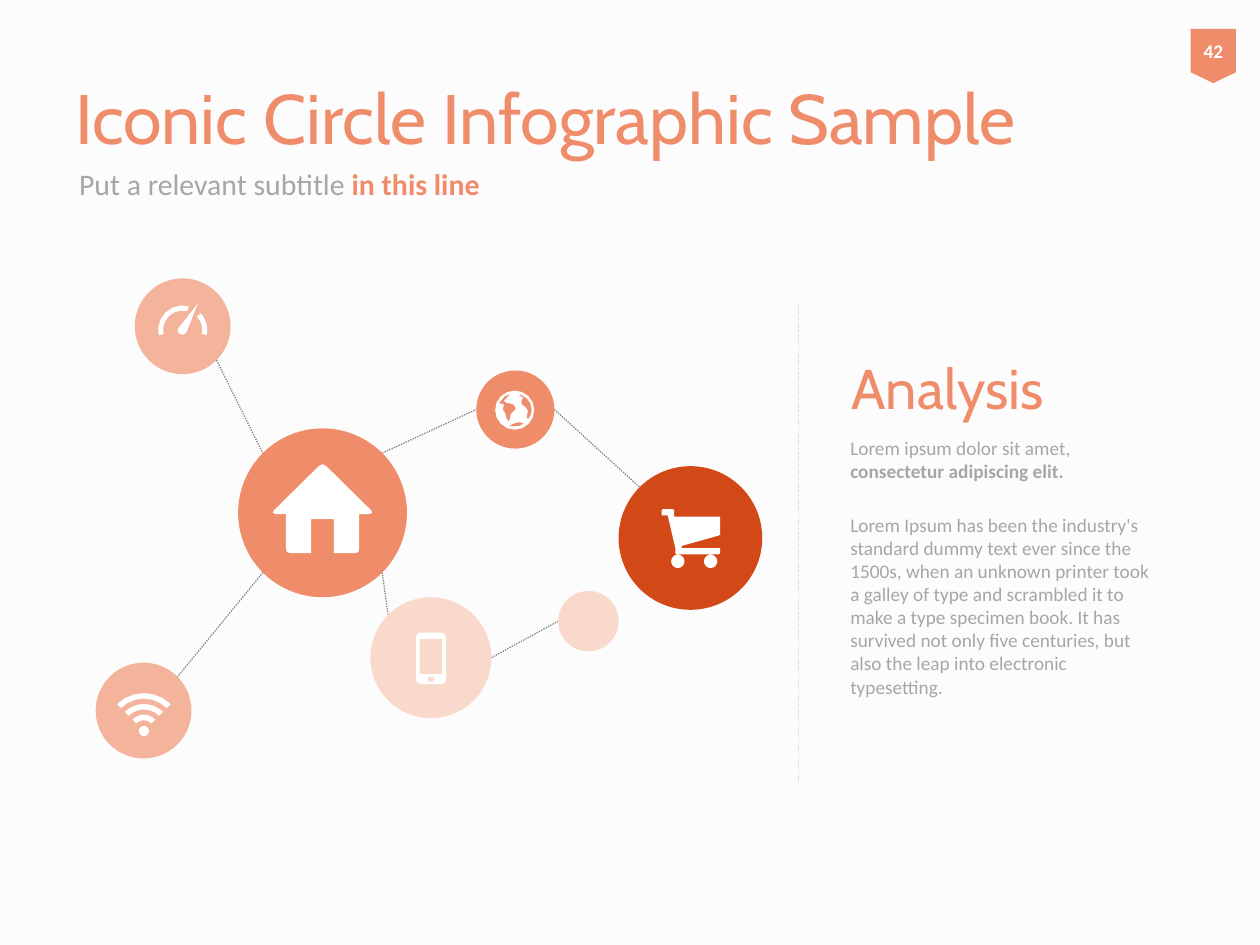
from dataclasses import dataclass
from math import cos, radians, sin

from pptx import Presentation
from pptx.dml.color import RGBColor
from pptx.enum.dml import MSO_LINE
from pptx.enum.shapes import MSO_CONNECTOR, MSO_SHAPE
from pptx.enum.text import MSO_ANCHOR, PP_ALIGN
from pptx.oxml.ns import qn
from pptx.util import Cm, Length, Pt

ELLIPSE, BADGE = MSO_SHAPE.OVAL, MSO_SHAPE.FLOWCHART_OFFPAGE_CONNECTOR
STRAIGHT, DOTTED = MSO_CONNECTOR.STRAIGHT, MSO_LINE.ROUND_DOT
TOP, MIDDLE = MSO_ANCHOR.TOP, MSO_ANCHOR.MIDDLE
LEFT, CENTER = PP_ALIGN.LEFT, PP_ALIGN.CENTER

PAPER = RGBColor(0xFC, 0xFC, 0xFC)
WHITE = RGBColor(0xFF, 0xFF, 0xFF)
CORAL = RGBColor(0xEF, 0x8C, 0x6A)
PEACH = RGBColor(0xF4, 0xB3, 0x9B)
BLUSH = RGBColor(0xFA, 0xD9, 0xCD)
RUST = RGBColor(0xD3, 0x48, 0x17)
TEXT_GRAY = RGBColor(0xA6, 0xA6, 0xA6)
LINK_GRAY = RGBColor(0x80, 0x80, 0x80)
RULE_GRAY = RGBColor(0xD9, 0xD9, 0xD9)
HEADING, BODY = "Cabin", "Calibri"

Point = tuple[float, float]
Contour = list[Point]


def inch(value: float) -> Length:
    return Cm(value * 2.54)


def arc(cx: float, cy: float, r: float, start: float, end: float, steps: int = 6) -> Contour:
    """Points along an arc; angles in degrees, clockwise from the right."""
    angles = [radians(start + (end - start) * i / steps) for i in range(steps + 1)]
    return [(cx + r * cos(a), cy + r * sin(a)) for a in angles]


def disc(cx: float, cy: float, r: float) -> Contour:
    return arc(cx, cy, r, 0, 360, 16)[:-1]


def band(cx: float, cy: float, inner: float, outer: float, start: float, end: float) -> Contour:
    """Slice of a ring."""
    return arc(cx, cy, outer, start, end) + arc(cx, cy, inner, end, start)


def rounded(x1: float, y1: float, x2: float, y2: float, r: float) -> Contour:
    corners = [(x1 + r, y1 + r, 180), (x2 - r, y1 + r, 270),
               (x2 - r, y2 - r, 0), (x1 + r, y2 - r, 90)]
    return [pt for cx, cy, a in corners for pt in arc(cx, cy, r, a, a + 90, 2)]


# Icon contours, in hundredths of an inch on the slide
CART = [
    disc(538, 445.5, 5.3), disc(564, 445.5, 5.3),
    [(542, 433), (570.5, 425), (571.5, 424), (571.5, 410), (535, 410), (535, 405),
     (534, 404), (526, 404), (525, 405), (525, 409), (530, 409), (535.5, 433),
     (536, 435), (536, 439), (537, 440), (570.5, 440), (571.5, 439), (571.5, 435),
     (542, 435), (540.3, 434.2)],
]
HOUSE = [
    [(294.5, 405), (259, 370), (256, 368.4), (253, 370),
     (217.5, 405), (216.6, 407), (219, 408), (227, 408), (227, 435), (227.7, 438),
     (230, 439), (247, 439), (247, 412), (265, 412), (265, 439), (282.5, 439),
     (284.5, 438), (285, 435), (285, 408), (293, 408), (295.4, 407)],
]
PHONE = [
    rounded(330, 502, 354, 543, 4),
    [(339, 539), (340, 537.4), (342, 537), (344, 537.4), (345, 539),
     (344, 540.6), (342, 541), (340, 540.6)],
    [(333, 507), (351, 507), (351, 535), (333, 535)],
]
GAUGE = [
    [(157, 241), (142, 260), (141, 262), (141.5, 264), (143, 265.3),
     (145.5, 265.8), (148, 264)],
    band(145, 262, 15.5, 19.5, 168, 284),
    band(145, 262, 15.5, 19.5, 317, 372),
]
GLOBE = [
    disc(408.5, 325.5, 15.5),
    [(422, 325), (421.3, 329.5), (419, 333), (418, 331), (419, 326),
     (417, 323), (414, 321), (413.8, 318.5), (415, 315.5),
     (412, 314), (413, 313), (418, 316), (421, 320)],
    [(407, 312), (405, 313), (403, 315), (400, 318), (402, 320),
     (404, 320), (407.5, 321), (409, 323), (409, 325), (405, 329),
     (405, 331), (404, 335), (402, 332), (401, 328),
     (399, 325), (400, 321), (396, 320), (400.5, 314.5)],
    [(404, 338), (408, 336), (412, 335), (416, 336), (412.5, 338), (408, 338.5)],
]
WIFI = [disc(114.2, 580.2, 4)] + [
    band(114.2, 580.2, inner, inner + 4.4, 225, 315) for inner in (8.5, 17.1, 25.7)]


@dataclass
class Circle:
    cx: float
    cy: float
    r: float
    color: RGBColor
    icon: list[Contour]

    def edge(self, angle: float) -> Point:
        a = radians(angle)
        return self.cx + self.r * cos(a), self.cy + self.r * sin(a)


@dataclass
class Run:
    text: str
    color: RGBColor
    bold: bool = False


dot = Circle(4.67, 4.93, 0.24, BLUSH, [])
cart = Circle(5.48, 4.27, 0.57, RUST, CART)
house = Circle(2.56, 4.07, 0.67, CORAL, HOUSE)
phone = Circle(3.42, 5.22, 0.48, BLUSH, PHONE)
gauge = Circle(1.45, 2.59, 0.38, PEACH, GAUGE)
globe = Circle(4.09, 3.25, 0.31, CORAL, GLOBE)
wifi = Circle(1.14, 5.64, 0.38, PEACH, WIFI)
CIRCLES = [dot, cart, house, phone, gauge, globe, wifi]
LINKS = [(gauge, 45, house, 225), (house, 135, wifi, 315), (house, 45, phone, 225),
         (house, 315, globe, 180), (globe, 0, cart, 225), (phone, 0, dot, 180)]


def fill_flat(sp, color: RGBColor) -> None:
    sp.fill.solid()
    sp.fill.fore_color.rgb = color
    sp.line.fill.background()
    sp.shadow.inherit = False


def add_dotted(shapes, start: Point, end: Point, color: RGBColor) -> None:
    line = shapes.add_connector(STRAIGHT, *map(inch, start + end))
    line.line.color.rgb = color
    line.line.width = Pt(0.75)
    line.line.dash_style = DOTTED
    props = line._element.spPr
    props.append(props.makeelement(qn("a:effectLst"), {}))


def add_icon(shapes, contours: list[Contour]) -> None:
    outlines = [[(inch(x / 100), inch(y / 100)) for x, y in c] for c in contours]
    builder = shapes.build_freeform(*outlines[0][0], scale=1.0)
    for i, points in enumerate(outlines):
        if i:
            builder.move_to(*points[0])
        builder.add_line_segments(points[1:], close=True)
    fill_flat(builder.convert_to_shape(), WHITE)


def add_circle(shapes, c: Circle) -> None:
    box = (c.cx - c.r, c.cy - c.r, 2 * c.r, 2 * c.r)
    fill_flat(shapes.add_shape(ELLIPSE, *map(inch, box)), c.color)
    if c.icon:
        add_icon(shapes, c.icon)


def write(sp, *paragraphs: list[Run], size: float, font: str = BODY,
          anchor=MIDDLE, align=LEFT, gap: float = 0) -> None:
    """Fill a shape with paragraphs, with gap points between them."""
    tf = sp.text_frame
    tf.word_wrap = True
    tf.vertical_anchor = anchor
    for i, runs in enumerate(paragraphs):
        p = tf.add_paragraph() if i else tf.paragraphs[0]
        p.alignment = align
        p.space_before = Pt(gap if i else 0)
        for run in runs:
            r = p.add_run()
            r.text = run.text
            r.font.name, r.font.size, r.font.bold = font, Pt(size), run.bold
            r.font.color.rgb = run.color


def add_text(shapes, box: tuple[float, ...], *paragraphs: list[Run], **style) -> None:
    write(shapes.add_textbox(*map(inch, box)), *paragraphs, **style)


def main() -> None:
    prs = Presentation()
    prs.slide_width, prs.slide_height = inch(10), inch(7.5)
    slide = prs.slides.add_slide(prs.slide_layouts[6])
    slide.background.fill.solid()
    slide.background.fill.fore_color.rgb = PAPER
    shapes = slide.shapes

    add_text(shapes, (0.5, 0.3, 9, 1.25), [Run("Iconic Circle Infographic Sample", CORAL)],
             size=40, font=HEADING)
    add_text(shapes, (0.53, 1.19, 9, 0.53),
             [Run("Put a relevant subtitle ", TEXT_GRAY), Run("in this line", CORAL, True)], size=17)

    for a, a_angle, b, b_angle in LINKS:
        add_dotted(shapes, a.edge(a_angle), b.edge(b_angle), LINK_GRAY)
    for circle in CIRCLES:
        add_circle(shapes, circle)

    add_text(shapes, (6.65, 3.41, 2.6, 2.12),
             [Run("Lorem ipsum dolor sit amet, ", TEXT_GRAY),
              Run("consectetur adipiscing elit.", TEXT_GRAY, True)],
             [Run("Lorem Ipsum has been the industry's standard dummy text ever since the 1500s, "
                  "when an unknown printer took a galley of type and scrambled it to make a type "
                  "specimen book. It has survived not only five centuries, but also the leap into "
                  "electronic typesetting.", TEXT_GRAY)],
             size=11, anchor=TOP, gap=17.7)
    add_text(shapes, (6.66, 2.68, 2.76, 0.78), [Run("Analysis", CORAL)], size=32, font=HEADING)
    add_dotted(shapes, (6.34, 2.39), (6.34, 6.2), RULE_GRAY)

    badge = shapes.add_shape(BADGE, *map(inch, (9.45, 0.23, 0.36, 0.43)))
    fill_flat(badge, CORAL)
    tf = badge.text_frame
    tf.margin_left = tf.margin_right = tf.margin_top = tf.margin_bottom = Cm(0)
    write(badge, [Run("42", WHITE, True)], size=11, align=CENTER)

    prs.save("out.pptx")


if __name__ == "__main__":
    main()
